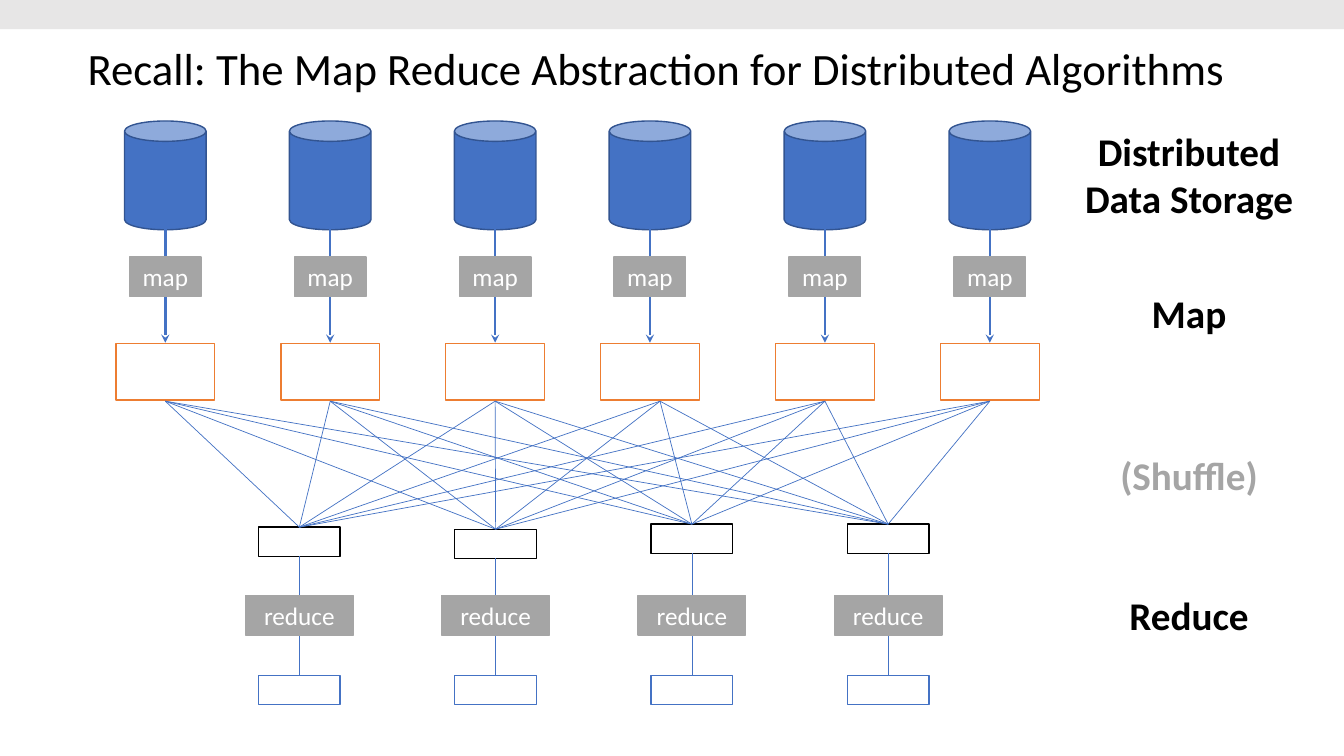
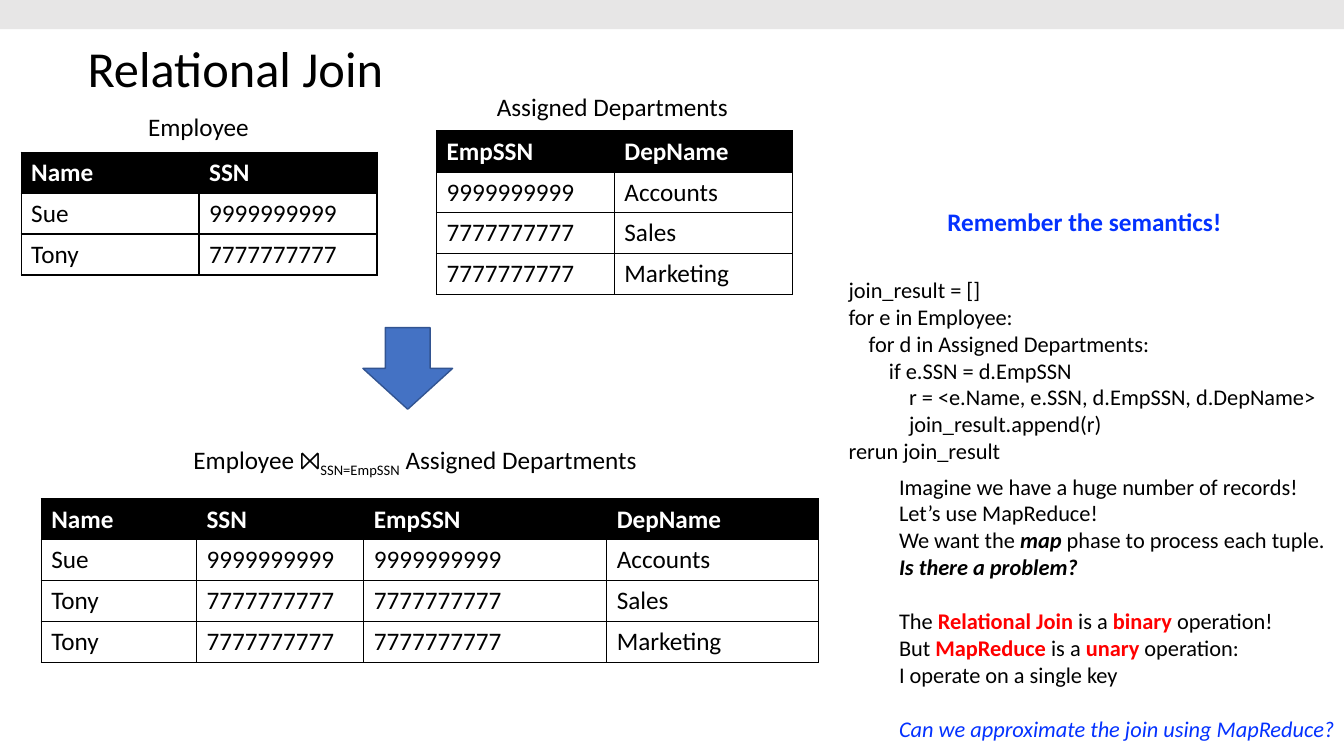
from dataclasses import dataclass
from itertools import product

from lxml import etree
from pptx import Presentation
from pptx.dml.color import RGBColor
from pptx.enum.shapes import MSO_CONNECTOR, MSO_SHAPE
from pptx.enum.text import MSO_ANCHOR, PP_ALIGN
from pptx.oxml.ns import qn
from pptx.util import Inches, Pt

LINE = MSO_CONNECTOR.STRAIGHT
RECT, CAN, DOWN = MSO_SHAPE.RECTANGLE, MSO_SHAPE.CAN, MSO_SHAPE.DOWN_ARROW
LEFT, CENTER = PP_ALIGN.LEFT, PP_ALIGN.CENTER
TOP, MIDDLE = MSO_ANCHOR.TOP, MSO_ANCHOR.MIDDLE

FONT = "Calibri"
COLS, ROWS = 133.33, 75
CELL = Inches(0.1)
ROW_H = 4.06
COLORS = {
    "black": "000000", "white": "FFFFFF", "band": "E7E6E6", "blue": "4472C4",
    "edge": "325491", "gray": "A5A5A5", "orange": "ED7D31", "red": "FF0000",
    "link": "0432FF",
}
STYLES = {
    "plain": {},
    "bold": {"bold": True},
    "strong": {"bold": True, "italic": True},
    "key": {"bold": True, "color": "red"},
    "note": {"bold": True, "color": "link"},
    "ask": {"italic": True, "color": "link"},
    "muted": {"bold": True, "color": "gray"},
    "head": {"bold": True, "color": "white"},
    "label": {"color": "white"},
    "sub": {"baseline": -25000},
}

STORES, REDUCERS = 6, 4
FAN_X = [16.4 + 16.36 * i for i in range(STORES)]
STORE_X = [x - (1 if i == 3 else 0) for i, x in enumerate(FAN_X)]
REDUCE_X = [29.7 + 19.47 * i for i in range(REDUCERS)]
REDUCE_Y = [52.3, 52.5, 52, 52]


@dataclass
class Para:
    """A paragraph: (text, style) runs, indent level and space before in points."""
    runs: list
    level: int = 0
    gap: float = 0


def rgb(name):
    """Return the named colour."""
    return RGBColor.from_string(COLORS[name])


def box(x, y, w, h):
    """Turn grid cells into lengths."""
    return [int(v * CELL) for v in (x, y, w, h)]


def add_run(p, text, size, style="plain"):
    """Add one styled run to a paragraph."""
    look = STYLES[style]
    r = p.add_run()
    r.text = text
    r.font.name, r.font.size = FONT, Pt(size)
    r.font.bold = look.get("bold", False)
    r.font.italic = look.get("italic", False)
    r.font.color.rgb = rgb(look.get("color", "black"))
    if "baseline" in look:
        r._r.get_or_add_rPr().set("baseline", str(look["baseline"]))


def fill_text(tf, paras, size, align, anchor):
    """Write paragraphs into a text frame."""
    tf.vertical_anchor = anchor
    for i, para in enumerate(paras):
        p = tf.add_paragraph() if i else tf.paragraphs[0]
        p.alignment = align
        if para.gap:
            p.space_before = Pt(para.gap)
        if para.level:
            p._p.get_or_add_pPr().set("marL", str(Inches(0.2) * para.level))
        for text, style in para.runs:
            add_run(p, text, size, style)


def add_text(s, at, paras, size=18, align=LEFT, anchor=TOP, wrap=False):
    """Add a text box and return its frame."""
    tf = s.shapes.add_textbox(*box(*at)).text_frame
    tf.word_wrap = wrap
    fill_text(tf, paras, size, align, anchor)
    return tf


def add_block(s, kind, at, fill, line=None, label=None):
    """Add a filled shape with an optional outline and label."""
    sp = s.shapes.add_shape(kind, *box(*at))
    sp.shadow.inherit = False
    sp.fill.solid()
    sp.fill.fore_color.rgb = rgb(fill)
    if line:
        sp.line.color.rgb = rgb(line)
        sp.line.width = Pt(1)
    else:
        sp.line.fill.background()
    if label:
        fill_text(sp.text_frame, [Para([(label, "label")])], 18, CENTER, MIDDLE)


def add_centered(s, kind, cx, y, w, h, fill, line, label=None):
    """Add a shape centred on a grid column."""
    add_block(s, kind, (cx - w / 2, y, w, h), fill, line, label)


def add_line(s, x1, y1, x2, y2, width=0.5, arrow=False):
    """Add a straight blue line, with an arrowhead at its end if asked."""
    c = s.shapes.add_connector(LINE, *box(x1, y1, x2, y2))
    c.line.color.rgb = rgb("blue")
    c.line.width = Pt(width)
    if arrow:
        etree.SubElement(c.line._get_or_add_ln(), qn("a:tailEnd"), type="stealth")
    etree.SubElement(c._element.spPr, qn("a:effectLst"))


def add_borders(cell):
    """Outline a table cell in black."""
    tcPr = cell._tc.get_or_add_tcPr()
    for side in "LRTB":
        ln = etree.SubElement(tcPr, qn("a:ln" + side), w=str(Pt(1)))
        fill = etree.SubElement(ln, qn("a:solidFill"))
        etree.SubElement(fill, qn("a:srgbClr"), val=COLORS["black"])


def add_grid(s, x, y, widths, rows):
    """Add a table with a black header row."""
    at = box(x, y, sum(widths), ROW_H * len(rows))
    table = s.shapes.add_table(len(rows), len(widths), *at).table
    table.first_row = table.horz_banding = False
    for col, w in zip(table.columns, widths):
        col.width = int(w * CELL)
    for i, row in enumerate(rows):
        table.rows[i].height = int(ROW_H * CELL)
        for j, value in enumerate(row):
            cell = table.cell(i, j)
            add_borders(cell)
            cell.fill.solid()
            cell.fill.fore_color.rgb = rgb("white" if i else "black")
            add_run(cell.text_frame.paragraphs[0], value, 18, "plain" if i else "head")


def add_slide(prs, title, size):
    """Add a blank slide with the shared band and title."""
    s = prs.slides.add_slide(prs.slide_layouts[6])
    add_block(s, RECT, (0, 0, COLS, 2.9), "band")
    tf = add_text(s, (7.7, -0.2, 115, 14.5), [Para([(title, "plain")])], size,
                  anchor=MIDDLE, wrap=True)
    tf.paragraphs[0].line_spacing = 0.9
    return s


def map_reduce_slide(prs):
    """Draw storage, map, shuffle and reduce from top to bottom."""
    s = add_slide(prs, "Recall: The Map Reduce Abstraction for Distributed Algorithms", 32)
    for y, h, text, style in [(12.1, 10.4, "Distributed Data Storage", "bold"),
                              (28.2, 5.7, "Map", "bold"),
                              (44.3, 5.7, "(Shuffle)", "muted"),
                              (58.2, 5.7, "Reduce", "bold")]:
        add_text(s, (106.2, y, 23.5, h), [Para([(text, style)])], 28, CENTER, wrap=True)
    for x in STORE_X:
        add_centered(s, CAN, x, 12, 8.1, 10.8, "blue", "edge")
        add_line(s, x, 22.7, x, 34, width=1.75, arrow=True)
        add_centered(s, RECT, x, 25.5, 7.1, 3.9, "gray", "gray", "map")
        add_centered(s, RECT, x, 34.1, 9.8, 5.6, "white", "orange")
    for x, y in zip(REDUCE_X, REDUCE_Y):
        add_centered(s, RECT, x, y, 8.1, 2.9, "white", "black")
        add_line(s, x, y + 2.9, x, 67)
        add_centered(s, RECT, x, 59.1, 10.7, 3.9, "gray", "gray", "reduce")
        add_centered(s, RECT, x, 67, 8.1, 2.9, "white", "blue")
    for x1, (x2, y2) in product(FAN_X, zip(REDUCE_X, REDUCE_Y)):
        add_line(s, x1, 39.8, x2, y2)


def join_slide(prs):
    """Show two tables, their join, and the join as code."""
    s = add_slide(prs, "Relational Join", 36)
    employees = [("Sue", "9999999999"), ("Tony", "7777777777")]
    departments = [("9999999999", "Accounts"), ("7777777777", "Sales"),
                   ("7777777777", "Marketing")]
    joined = [e + d for e, d in product(employees, departments) if e[1] == d[0]]
    e_head, d_head = ("Name", "SSN"), ("EmpSSN", "DepName")
    add_grid(s, 2.1, 15.1, [17.65] * 2, [e_head] + employees)
    add_grid(s, 43.3, 13, [17.65] * 2, [d_head] + departments)
    add_grid(s, 4.1, 49.5, [15.4, 16.6, 24.1, 21], [e_head + d_head] + joined)
    add_block(s, DOWN, (36, 32.5, 8.9, 8.1), "blue", "edge")
    for at, runs in [
        ((13.7, 10.6, 12.1, 4), [("Employee", "plain")]),
        ((48.3, 8.6, 25.2, 4), [("Assigned Departments", "plain")]),
        ((18.2, 43.6, 48.8, 4), [("Employee ⨝", "plain"), ("SSN=EmpSSN", "sub"),
                                 (" Assigned Departments", "plain")]),
        ((93, 20, 29.4, 4), [("Remember the semantics!", "note")]),
    ]:
        add_text(s, at, [Para(runs)])
    code = [(0, "join_result = []"),
            (0, "for e in Employee:"),
            (1, "for d in Assigned Departments:"),
            (2, "if e.SSN = d.EmpSSN"),
            (3, "r = <e.Name, e.SSN, d.EmpSSN, d.DepName>"),
            (3, "join_result.append(r)"),
            (0, "rerun join_result")]
    add_text(s, (83.2, 26.9, 49, 20.5),
             [Para([(text, "plain")], level) for level, text in code], 16)
    remarks = add_text(s, (88.2, 46.4, 45.1, 27.9), [
        Para([("Imagine we have a huge number of records!", "plain")]),
        Para([("Let’s use MapReduce!", "plain")]),
        Para([("We want the ", "plain"), ("map ", "strong"),
              ("phase to process each tuple.", "plain")]),
        Para([("Is there a problem?", "strong")]),
        Para([("The ", "plain"), ("Relational Join", "key"), (" is a ", "plain"),
              ("binary ", "key"), ("operation!", "plain")], gap=19.5),
        Para([("But ", "plain"), ("MapReduce", "key"), (" is a ", "plain"),
              ("unary ", "key"), ("operation:", "plain")]),
        Para([("I operate on a single key", "plain")]),
        Para([("Can we approximate the join using MapReduce?", "ask")], gap=19.5),
    ], 16, wrap=True)
    remarks.margin_right = 0


def main():
    """Build and save the deck."""
    prs = Presentation()
    prs.slide_width, prs.slide_height = int(COLS * CELL), ROWS * CELL
    map_reduce_slide(prs)
    join_slide(prs)
    prs.save("out.pptx")


if __name__ == "__main__":
    main()
